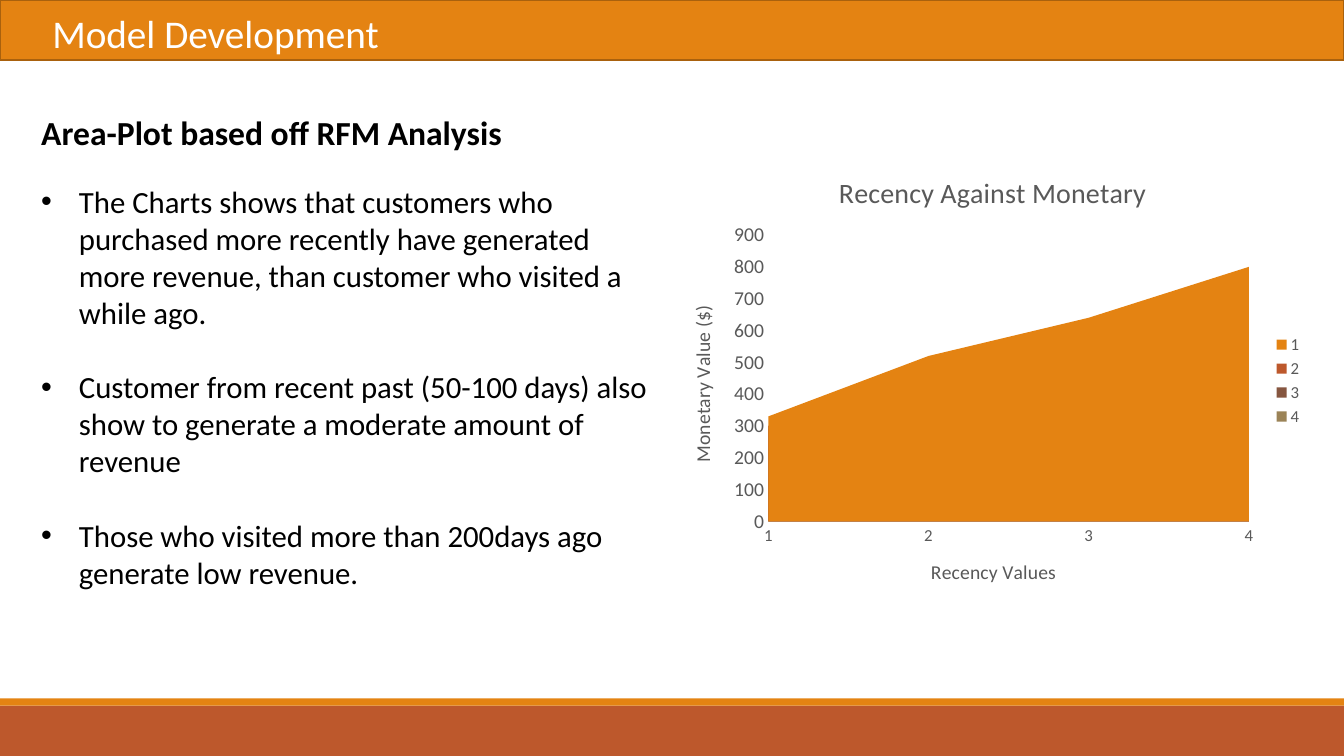
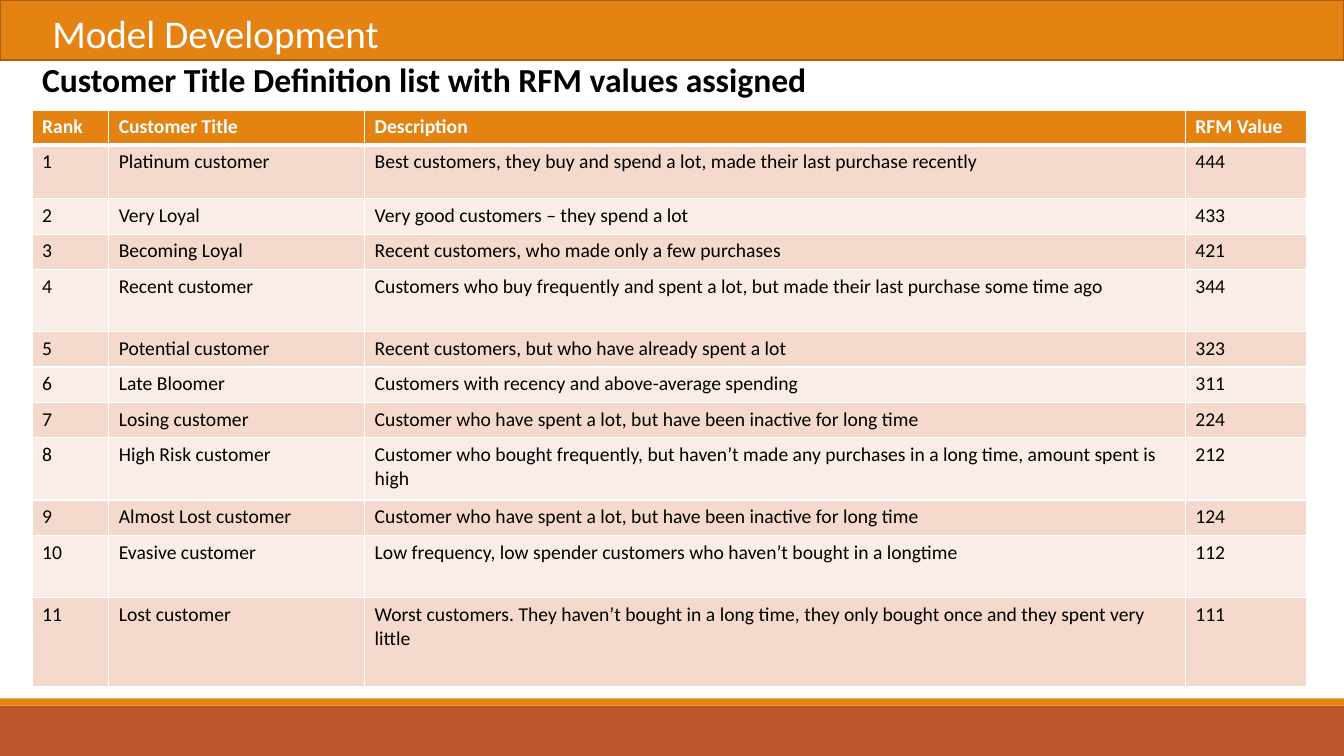
import dataclasses
import typing

import lxml.etree
import pptx
import pptx.chart.data
import pptx.dml.color
import pptx.enum.chart
import pptx.enum.shapes
import pptx.oxml
import pptx.oxml.ns
import pptx.util

Cm = pptx.util.Cm
Pt = pptx.util.Pt
RGBColor = pptx.dml.color.RGBColor

ORANGE = RGBColor(0xE4, 0x83, 0x12)
DARK_ORANGE = RGBColor(0xA9, 0x61, 0x0D)
RUST = RGBColor(0xBD, 0x58, 0x2C)
BROWN = RGBColor(0x86, 0x56, 0x40)
OLIVE = RGBColor(0x9B, 0x83, 0x57)
PINK = RGBColor(0xF5, 0xD9, 0xCC)
PALE_PINK = RGBColor(0xFA, 0xED, 0xE7)
WHITE = RGBColor(0xFF, 0xFF, 0xFF)
BLACK = RGBColor(0, 0, 0)
GRAY = RGBColor(0x59, 0x59, 0x59)
LIGHT_GRAY = RGBColor(0xD9, 0xD9, 0xD9)

FONT = "Calibri"
SLIDE_WIDTH, SLIDE_HEIGHT = 33.87, 19.05
BULLET_INDENT = 0.95


@dataclasses.dataclass(frozen=True)
class Box:
    """A rectangle in centimetres."""

    left: float
    top: float
    width: float
    height: float

    def lengths(self) -> tuple:
        """Return the four lengths in slide units."""
        return tuple(Cm(value) for value in dataclasses.astuple(self))


@dataclasses.dataclass(frozen=True)
class Band:
    """A coloured strip across the slide."""

    top: float
    height: float
    fill: RGBColor
    line: typing.Optional[RGBColor] = None


@dataclasses.dataclass(frozen=True)
class Line:
    """A paragraph of a text box, with the space after it in points."""

    text: str
    size: float
    color: RGBColor = BLACK
    bold: bool = False
    bullet: bool = False
    space_after: float = 0


@dataclasses.dataclass(frozen=True)
class Series:
    """One area of the chart."""

    name: str
    values: tuple
    color: RGBColor


@dataclasses.dataclass(frozen=True)
class Customer:
    """One row of the customer table; its rank follows from its order."""

    title: str
    description: str
    rfm: str
    height: float = 0.89


BANDS = (
    Band(17.78, 1.27, RUST),
    Band(17.6, 0.18, ORANGE),
    Band(0, 1.52, ORANGE, DARK_ORANGE),
)

FINDINGS = (
    Line("Area-Plot based off RFM Analysis", 24, bold=True, space_after=22),
    Line("The Charts shows that customers who purchased more recently have generated "
         "more revenue, than customer who visited a while ago.",
         22, bullet=True, space_after=26.85),
    Line("Customer from recent past (50-100 days) also show to generate a "
         "moderate amount of revenue", 22, bullet=True, space_after=26.85),
    Line("Those who visited more than 200days ago generate low revenue.", 22, bullet=True),
)

RECENCY_SERIES = (
    Series("1", (330, 520, 640, 800), ORANGE),
    Series("2", (300, 460, 560, 710), RUST),
    Series("3", (300, 440, 550, 680), BROWN),
    Series("4", (290, 440, 540, 690), OLIVE),
)
PLOT_AREA = {"x": 0.15, "y": 0.18, "w": 0.75, "h": 0.63}

HEADERS = ("Rank", "Customer Title", "Description", "RFM Value")
HEADER_HEIGHT = 0.89
COLUMN_WIDTHS = (1.93, 6.45, 20.68, 3.05)
CUSTOMERS = (
    Customer("Platinum customer",
             "Best customers, they buy and spend a lot, made their last purchase recently",
             "444", 1.35),
    Customer("Very Loyal", "Very good customers – they spend a lot", "433"),
    Customer("Becoming Loyal", "Recent customers, who made only a few purchases", "421"),
    Customer("Recent customer", "Customers who buy frequently and spent a lot, but made "
             "their last purchase some time ago", "344", 1.57),
    Customer("Potential customer", "Recent customers, but who have already spent a lot", "323"),
    Customer("Late Bloomer", "Customers with recency and above-average spending", "311"),
    Customer("Losing customer",
             "Customer who have spent a lot, but have been inactive for long time", "224"),
    Customer("High Risk customer", "Customer who bought frequently, but haven’t made any "
             "purchases in a long time, amount spent is high", "212", 1.57),
    Customer("Almost Lost customer",
             "Customer who have spent a lot, but have been inactive for long time", "124"),
    Customer("Evasive customer",
             "Low frequency, low spender customers who haven’t bought in a longtime",
             "112", 1.57),
    Customer("Lost customer", "Worst customers. They haven’t bought in a long time, they "
             "only bought once and they spent very little", "111", 2.23),
)


def style_font(font, size: float, color: RGBColor, bold: bool = False) -> None:
    """Set the typeface, size, colour and weight of a font."""
    font.name = FONT
    font.size = Pt(size)
    font.bold = bold
    font.color.rgb = color


def add_run(paragraph, text: str, size: float, color: RGBColor, bold: bool = False) -> None:
    """Append a styled run to a paragraph."""
    run = paragraph.add_run()
    run.text = text
    style_font(run.font, size, color, bold)


def add_child(parent, tag: str, **attributes: str):
    """Append an XML element with a prefixed tag."""
    return lxml.etree.SubElement(parent, pptx.oxml.ns.qn(tag), attributes)


def add_band(slide, band: Band) -> None:
    """Draw a strip over the full slide width."""
    box = Box(0, band.top, SLIDE_WIDTH, band.height)
    shape = slide.shapes.add_shape(pptx.enum.shapes.MSO_SHAPE.RECTANGLE, *box.lengths())
    shape.shadow.inherit = False
    shape.fill.solid()
    shape.fill.fore_color.rgb = band.fill
    if band.line is None:
        shape.line.fill.background()
    else:
        shape.line.color.rgb = band.line
        shape.line.width = Pt(1.25)


def add_text(slide, box: Box, lines: typing.Sequence[Line]) -> None:
    """Add a wrapping text box with one paragraph per line."""
    frame = slide.shapes.add_textbox(*box.lengths()).text_frame
    frame.word_wrap = True
    for index, line in enumerate(lines):
        paragraph = frame.add_paragraph() if index else frame.paragraphs[0]
        paragraph.space_after = Pt(line.space_after)
        add_run(paragraph, line.text, line.size, line.color, line.bold)
        if line.bullet:
            properties = paragraph._p.get_or_add_pPr()
            properties.set("marL", str(Cm(BULLET_INDENT)))
            properties.set("indent", str(-Cm(BULLET_INDENT)))
            add_child(properties, "a:buFont", typeface="Arial")
            add_child(properties, "a:buChar", char="•")


def add_model_slide(presentation):
    """Add a blank slide with the shared bands and title."""
    slide = presentation.slides.add_slide(presentation.slide_layouts[6])
    for band in BANDS:
        add_band(slide, band)
    add_text(slide, Box(1.07, 0.1, 9.8, 1.45), [Line("Model Development", 28, WHITE)])
    return slide


def set_chart_title(owner, text: str, size: float) -> None:
    """Give a chart or an axis its title."""
    owner.has_title = True
    title = owner.chart_title if hasattr(owner, "chart_title") else owner.axis_title
    add_run(title.text_frame.paragraphs[0], text, size, GRAY)


def style_axis(axis, title: str, size: float) -> None:
    """Title an axis and clear its grid and ticks."""
    set_chart_title(axis, title, 14)
    axis.has_major_gridlines = False
    axis.major_tick_mark = pptx.enum.chart.XL_TICK_MARK.NONE
    axis.minor_tick_mark = pptx.enum.chart.XL_TICK_MARK.NONE
    style_font(axis.tick_labels.font, size, GRAY)


def fix_plot_area(chart) -> None:
    """Place the inner plot area by fractions of the chart."""
    plot_area = chart._chartSpace.chart.plotArea
    for layout in plot_area.findall(pptx.oxml.ns.qn("c:layout")):
        plot_area.remove(layout)
    layout = add_child(plot_area, "c:layout")
    plot_area.insert(0, layout)
    manual = add_child(layout, "c:manualLayout")
    add_child(manual, "c:layoutTarget", val="inner")
    for side in "xy":
        add_child(manual, f"c:{side}Mode", val="edge")
    for side, fraction in PLOT_AREA.items():
        add_child(manual, f"c:{side}", val=str(fraction))


def add_recency_chart(slide, box: Box) -> None:
    """Draw the area chart of monetary value by recency."""
    data = pptx.chart.data.CategoryChartData()
    data.categories = ["1", "2", "3", "4"]
    for series in RECENCY_SERIES:
        data.add_series(series.name, series.values)
    chart = slide.shapes.add_chart(
        pptx.enum.chart.XL_CHART_TYPE.AREA, *box.lengths(), data).chart
    style_font(chart.font, 10, BLACK)
    set_chart_title(chart, "Recency Against Monetary", 20)
    chart.plots[0].vary_by_categories = False
    for area, series in zip(chart.plots[0].series, RECENCY_SERIES):
        area.format.fill.solid()
        area.format.fill.fore_color.rgb = series.color
        area.format.line.fill.background()
    style_axis(chart.category_axis, "Recency Values", 12)
    chart.category_axis.format.line.color.rgb = LIGHT_GRAY
    chart.category_axis.format.line.width = Pt(0.75)
    style_axis(chart.value_axis, "Monetary Value ($)", 14)
    chart.value_axis.format.line.fill.background()
    chart.value_axis.minimum_scale, chart.value_axis.maximum_scale = 0, 900
    chart.value_axis.major_unit = 100
    chart.has_legend = True
    chart.legend.position = pptx.enum.chart.XL_LEGEND_POSITION.RIGHT
    chart.legend.include_in_layout = False
    style_font(chart.legend.font, 12, GRAY)
    fix_plot_area(chart)


def fill_cell(cell, text: str, fill: RGBColor, top: float, bottom: float,
              header: bool) -> None:
    """Write a cell and set its fill and white borders."""
    add_run(cell.text_frame.paragraphs[0], text, 14, WHITE if header else BLACK, header)
    properties = cell._tc.get_or_add_tcPr()
    for side, width in (("L", 1), ("R", 1), ("T", top), ("B", bottom)):
        border = add_child(properties, f"a:ln{side}", w=str(Pt(width)))
        add_child(add_child(border, "a:solidFill"), "a:srgbClr", val=str(WHITE))
    cell.fill.solid()
    cell.fill.fore_color.rgb = fill


def add_customer_table(slide, left: float, top: float) -> None:
    """Draw the table of customer titles, with alternating row fills."""
    rows = [HEADERS] + [(str(rank), customer.title, customer.description, customer.rfm)
                        for rank, customer in enumerate(CUSTOMERS, 1)]
    heights = [HEADER_HEIGHT] + [customer.height for customer in CUSTOMERS]
    box = Box(left, top, sum(COLUMN_WIDTHS), sum(heights))
    table = slide.shapes.add_table(len(rows), len(HEADERS), *box.lengths()).table
    for column, width in zip(table.columns, COLUMN_WIDTHS):
        column.width = Cm(width)
    for index, (texts, height) in enumerate(zip(rows, heights)):
        table.rows[index].height = Cm(height)
        fill = ORANGE if index == 0 else (PALE_PINK, PINK)[index % 2]
        for column, text in enumerate(texts):
            fill_cell(table.cell(index, column), text, fill, 3 if index == 1 else 1,
                      3 if index == 0 else 1, index == 0)


def main() -> None:
    """Build and save the presentation."""
    presentation = pptx.Presentation()
    presentation.slide_width = Cm(SLIDE_WIDTH)
    presentation.slide_height = Cm(SLIDE_HEIGHT)

    slide = add_model_slide(presentation)
    add_text(slide, Box(0.79, 2.69, 16.15, 14.1), FINDINGS)
    add_recency_chart(slide, Box(16.94, 3.86, 16.15, 11.46))

    slide = add_model_slide(presentation)
    add_text(slide, Box(0.81, 1.35, 22.38, 1.27),
             [Line("Customer Title Definition list with RFM values assigned", 24, bold=True)])
    add_customer_table(slide, 0.81, 2.77)

    presentation.save("out.pptx")


main()
